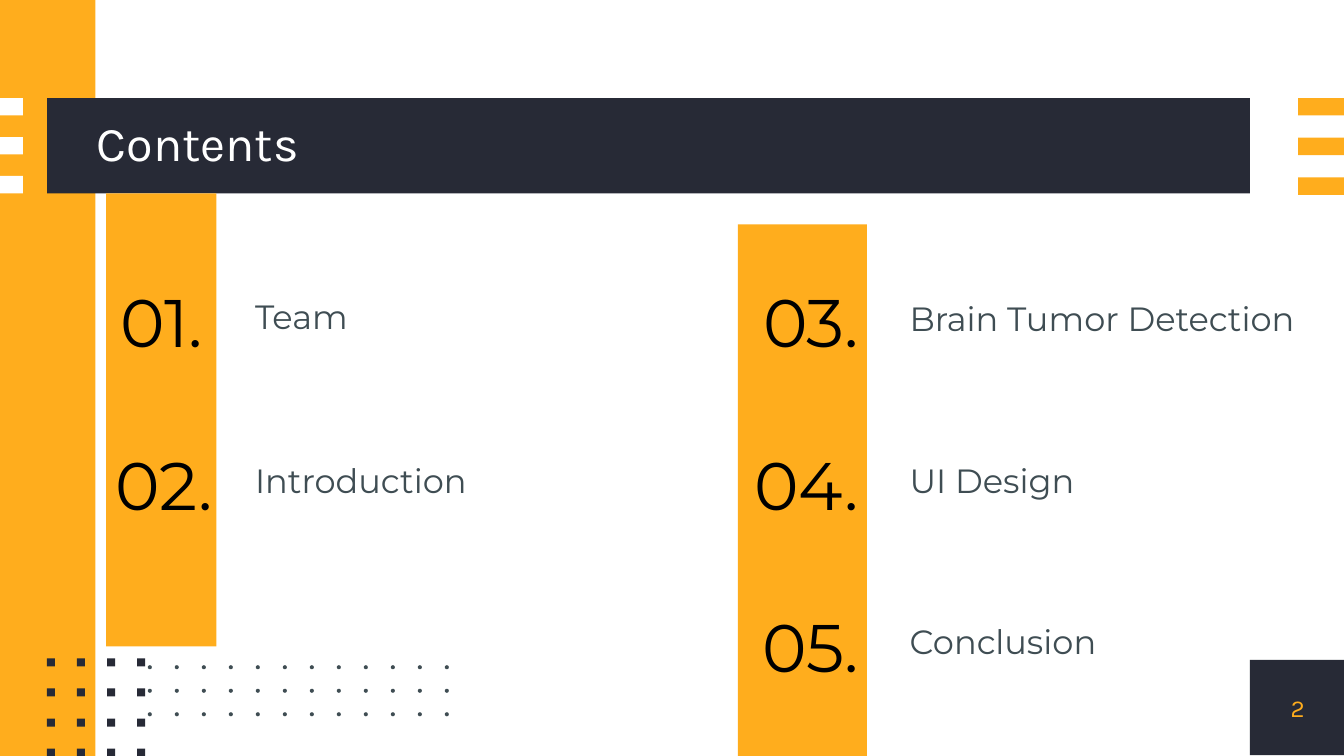
from dataclasses import dataclass
from itertools import product

from pptx import Presentation
from pptx.dml.color import RGBColor
from pptx.enum.shapes import MSO_SHAPE
from pptx.enum.text import MSO_ANCHOR, PP_ALIGN
from pptx.util import Inches, Pt

GOLD = "FFAD1D"
NAVY = "272A36"
WHITE = "FFFFFF"
SLATE = "3F4D53"
BLACK = "000000"
WIDE = 10
HIGH = WIDE * 9 / 16


@dataclass
class Box:
    left: float
    top: float
    width: float
    height: float
    fill: str
    kind: MSO_SHAPE = MSO_SHAPE.RECTANGLE


@dataclass
class Label:
    text: str
    left: float
    top: float
    width: float
    height: float
    size: int
    color: str
    font: str = "Montserrat"
    align: PP_ALIGN = PP_ALIGN.LEFT
    anchor: MSO_ANCHOR = MSO_ANCHOR.MIDDLE
    inset: float = 0.1
    spacing: float = 1.0


@dataclass
class Entry:
    number: str
    topic: str
    left: float
    top: float
    topic_left: float
    topic_top: float


def paint(target, color: str) -> None:
    target.solid()
    target.fore_color.rgb = RGBColor.from_string(color)


def draw_box(slide, box: Box) -> None:
    shape = slide.shapes.add_shape(
        box.kind, Inches(box.left), Inches(box.top), Inches(box.width), Inches(box.height)
    )
    shape.shadow.inherit = False
    shape.line.fill.background()
    paint(shape.fill, box.fill)


def draw_label(slide, label: Label) -> None:
    frame = slide.shapes.add_textbox(
        Inches(label.left), Inches(label.top), Inches(label.width), Inches(label.height)
    ).text_frame
    frame.word_wrap = True
    frame.vertical_anchor = label.anchor
    frame.margin_left = frame.margin_right = Inches(label.inset)
    frame.margin_top = frame.margin_bottom = Inches(label.inset)
    line = frame.paragraphs[0]
    line.alignment = label.align
    line.line_spacing = label.spacing
    run = line.add_run()
    run.text = label.text
    run.font.name = label.font
    run.font.size = Pt(label.size)
    paint(run.font.fill, label.color)


def draw_entry(slide, entry: Entry) -> None:
    draw_label(slide, Label(entry.number, entry.left, entry.top, 1.44, 0.59, 36, BLACK,
                            align=PP_ALIGN.RIGHT))
    draw_label(slide, Label(entry.topic, entry.topic_left, entry.topic_top, 3.07, 0.45, 18, SLATE,
                            anchor=MSO_ANCHOR.BOTTOM))


deck = Presentation()
deck.slide_width = Inches(WIDE)
deck.slide_height = Inches(HIGH)
slide = deck.slides.add_slide(deck.slide_layouts[6])
paint(slide.background.fill, WHITE)

corner = Box(9.3, 4.91, 0.71, 0.71, NAVY)
side = Box(0, 0, 0.71, HIGH, GOLD)
banner = Box(0.35, 0.73, 8.95, 0.71, NAVY)
notches = [Box(0, 0.73 + 0.29 * i, 0.17, 0.13, WHITE) for i in range(3)]
squares = [
    Box(0.35 + 0.67 / 3 * col, 4.9 + 0.67 / 3 * row, 0.06, 0.06, NAVY)
    for row, col in product(range(4), range(4))
]
stripes = [Box(9.66, 0.73 + 0.59 / 2 * i, 0.34, 0.13, GOLD) for i in range(3)]
columns = [Box(0.79, 1.44, 0.82, 3.37, GOLD), Box(5.49, 1.67, 0.96, HIGH - 1.67, GOLD)]
dots = [
    Box(1.1 + 2.21 / 11 * col, 4.95 + 0.35 / 2 * row, 0.03, 0.03, SLATE, MSO_SHAPE.OVAL)
    for row, col in product(range(3), range(12))
]

entries = [
    Entry("01.", "Team", 0.17, 2.09, 1.8, 2.15),
    Entry("02.", "Introduction", 0.24, 3.3, 1.8, 3.37),
    Entry("03.", "Brain Tumor Detection", 5.05, 2.09, 6.67, 2.17),
    Entry("04.", "UI Design", 5.05, 3.3, 6.67, 3.37),
    Entry("05.", "Conclusion", 5.05, 4.51, 6.67, 4.57),
]

for box in [corner, side, banner, *notches, *squares, *stripes]:
    draw_box(slide, box)
draw_label(slide, Label("Contents", 0.72, 0.73, 8.58, 0.71, 26, WHITE, "Karla",
                        inset=0, spacing=0.9))
draw_label(slide, Label("2", 9.3, 4.91, 0.71, 0.71, 13, GOLD, "Karla",
                        PP_ALIGN.CENTER, inset=0))
for box in columns:
    draw_box(slide, box)
for entry in entries:
    draw_entry(slide, entry)
for dot in dots:
    draw_box(slide, dot)

deck.save("out.pptx")
